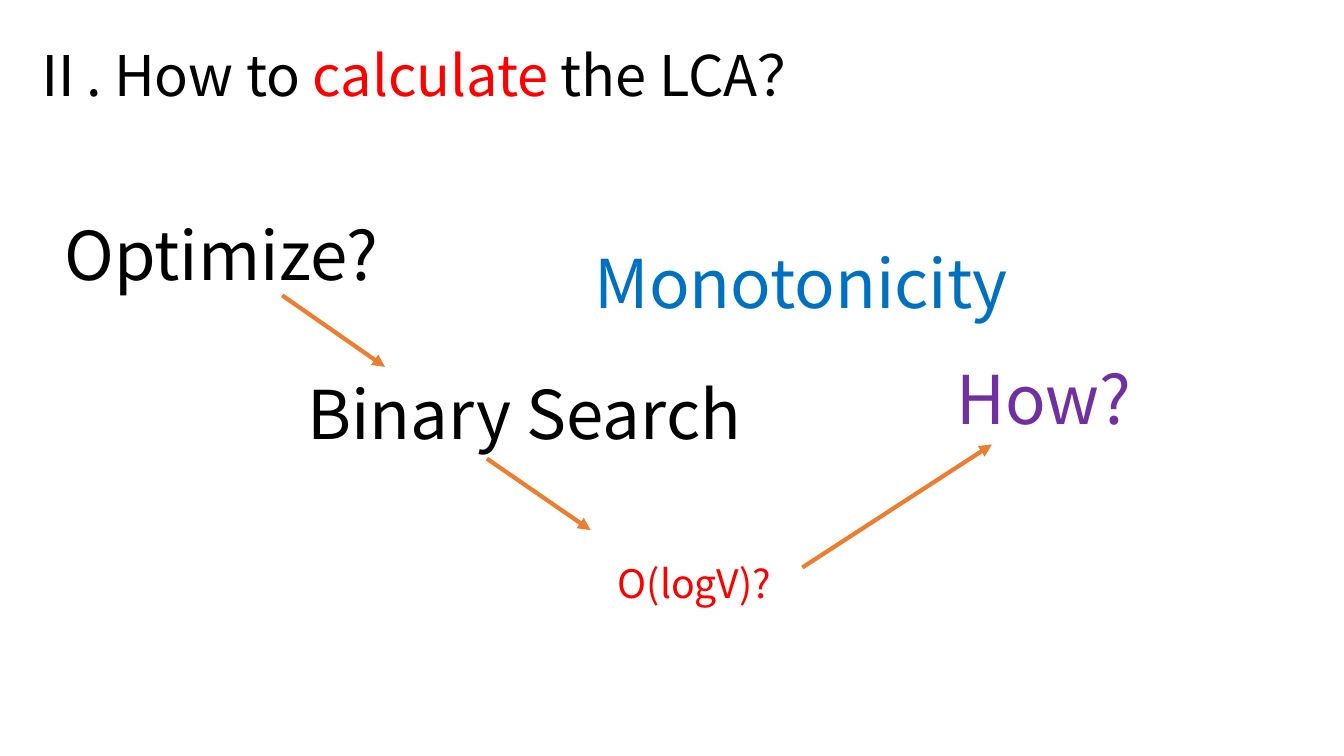
"""Build the slide on optimizing the LCA calculation."""
from lxml import etree
from pptx import Presentation
from pptx.dml.color import RGBColor
from pptx.enum.shapes import MSO_CONNECTOR
from pptx.enum.text import MSO_ANCHOR, MSO_AUTO_SIZE, PP_ALIGN
from pptx.oxml.ns import qn
from pptx.util import Pt

STRAIGHT = MSO_CONNECTOR.STRAIGHT
TOP = MSO_ANCHOR.TOP
GROW = MSO_AUTO_SIZE.SHAPE_TO_FIT_TEXT
LEFT = PP_ALIGN.LEFT
TITLE_ONLY = 5

BLACK, RED, BLUE, PURPLE, ORANGE = "000000", "FF0000", "0070C0", "7030A0", "ED7D31"


def color(value):
    return RGBColor.from_string(value)


class Page:
    font = "Noto Sans CJK JP"
    title_size = 40
    arrow_width = 3

    def __init__(self, deck):
        self.slide = deck.slides.add_slide(deck.slide_layouts[TITLE_ONLY])

    def fill_text(self, box, spans, size):
        frame = box.text_frame
        frame.word_wrap = True
        frame.auto_size = GROW
        frame.vertical_anchor = TOP
        para = frame.paragraphs[0]
        para.alignment = LEFT
        for text, tint in spans:
            span = para.add_run()
            span.text = text
            span.font.size = Pt(size)
            span.font.color.rgb = color(tint)
            span.font.name = self.font
            east_asian = etree.SubElement(span._r.get_or_add_rPr(), qn("a:ea"))
            east_asian.set("typeface", self.font)

    def title(self, left, top, width, height, spans):
        box = self.slide.shapes.title
        box.left, box.top, box.width, box.height = map(Pt, (left, top, width, height))
        self.fill_text(box, spans, self.title_size)

    def label(self, left, top, width, height, text, tint, size=48):
        box = self.slide.shapes.add_textbox(*map(Pt, (left, top, width, height)))
        self.fill_text(box, [(text, tint)], size)

    def arrow(self, *ends):
        arrow = self.slide.shapes.add_connector(STRAIGHT, *map(Pt, ends))
        arrow.line.color.rgb = color(ORANGE)
        arrow.line.width = Pt(self.arrow_width)
        head = etree.SubElement(arrow.line._get_or_add_ln(), qn("a:tailEnd"))
        head.set("type", "triangle")
        etree.SubElement(arrow._element.spPr, qn("a:effectLst"))


deck = Presentation()
deck.slide_width, deck.slide_height = Pt(960), Pt(540)
page = Page(deck)

page.title(14.4, 25.2, 694, 55.4,
           [("Ⅱ. How to ", BLACK), ("calculate", RED), (" the LCA？", BLACK)])

page.label(38.9, 149, 346.3, 65.5, "Optimize?", BLACK)
page.label(417.6, 168.5, 364.3, 65.5, "Monotonicity", BLUE)
page.label(212.4, 262.1, 364.3, 65.5, "Binary Search", BLACK)
page.label(676.1, 252, 187.9, 65.5, "How?", PURPLE)
page.label(434.2, 396, 133.9, 41, "O(logV)?", RED, size=28)

page.arrow(201.6, 211, 275, 262.1)
page.arrow(347.8, 327.6, 421.9, 378.7)
page.arrow(573.1, 405.4, 708.5, 317.5)

deck.save("out.pptx")
